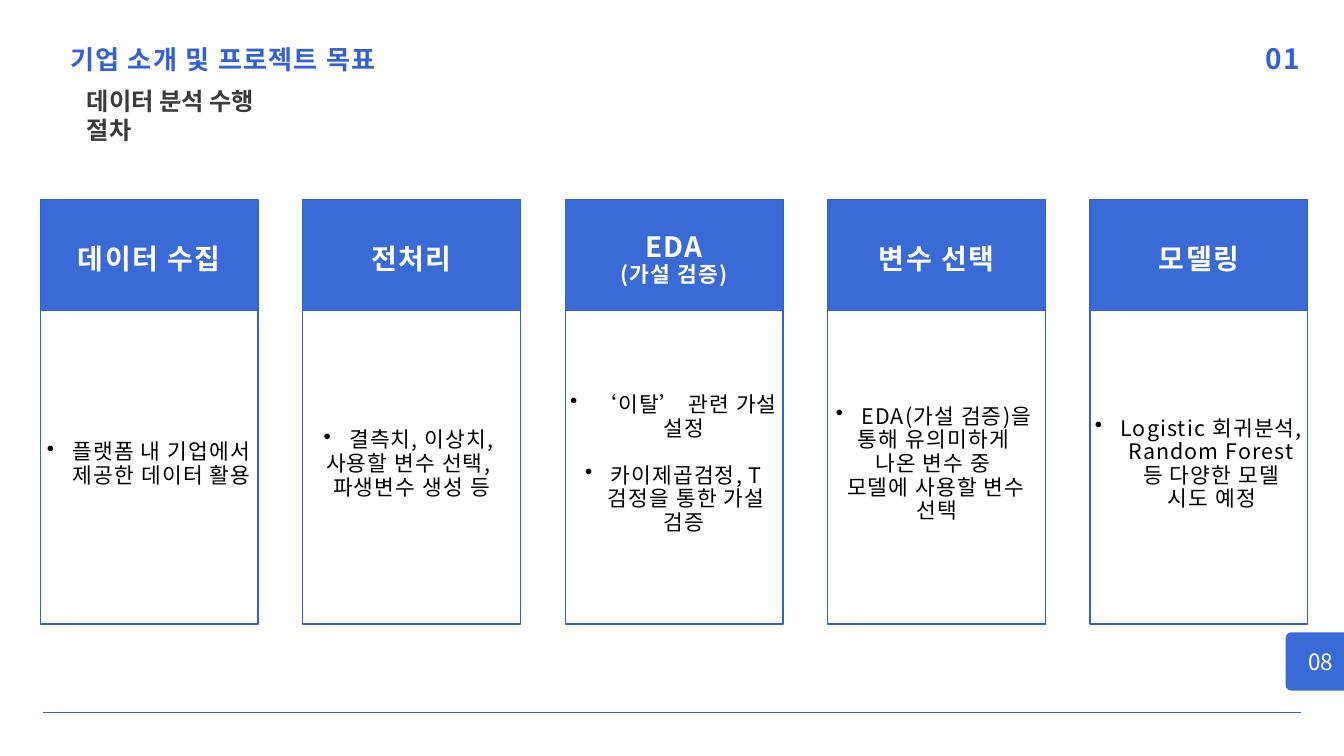
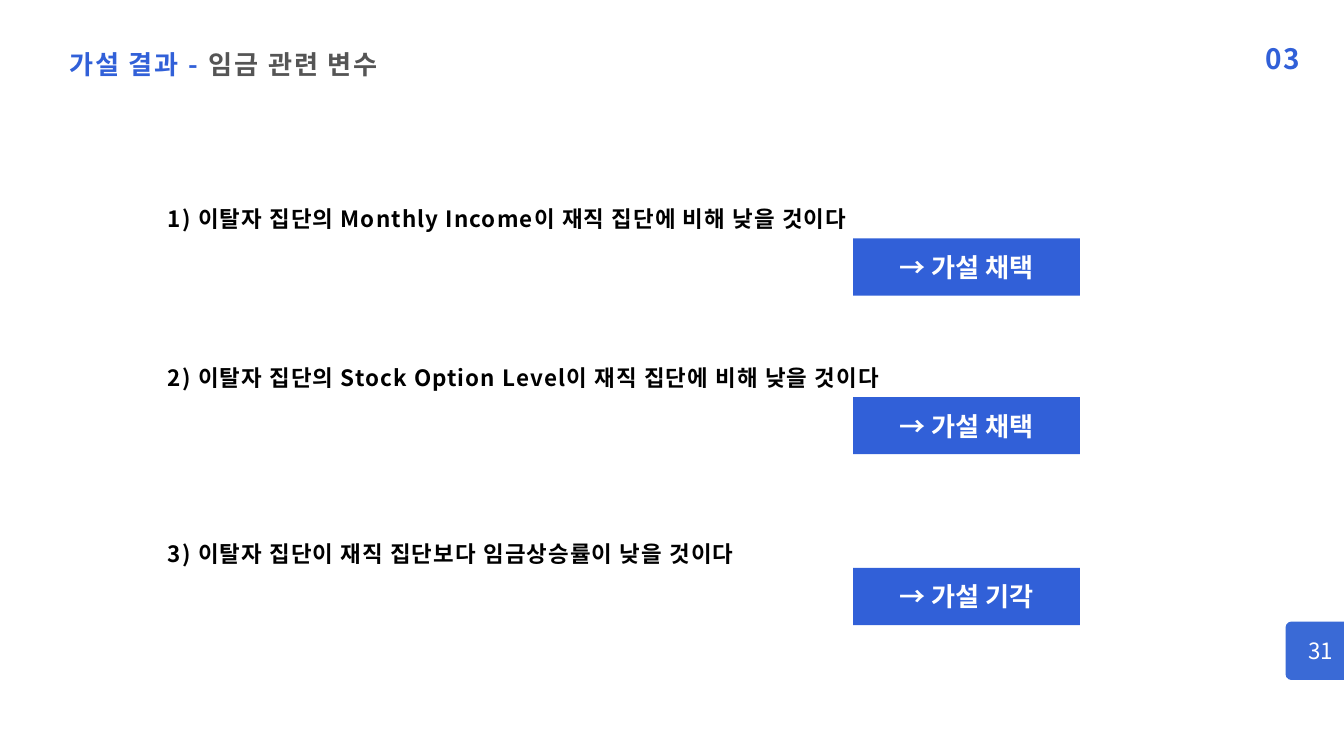
import pptx
import pptx.dml.color
import pptx.enum.shapes
import pptx.enum.text
import pptx.oxml
import pptx.oxml.ns
import pptx.util

Pt = pptx.util.Pt
ALIGN = pptx.enum.text.PP_ALIGN
ANCHOR = pptx.enum.text.MSO_ANCHOR
SHAPE = pptx.enum.shapes.MSO_SHAPE
qn = pptx.oxml.ns.qn

FONT = "Noto Sans CJK KR"
BLUE, FILL, WHITE, BLACK = "3160D8", "3A6AD6", "FFFFFF", "000000"
DARK, GREY = "3B3B3B", "555555"
CENTER = {"alignment": ALIGN.CENTER}

SECTION = {"size": 30, "bold": True, "color": BLUE, "spc": 160, "line": 33}
TITLE = {"size": 28, "bold": True, "color": BLUE, "spc": 140, "line": 30.8}
SUBTITLE = {"size": 26, "bold": True, "color": DARK, "line": 30.8}
STEP_HEAD = {**SECTION, "color": WHITE, **CENTER}
STEP_NOTE = {"size": 23, "spc": 120, "line": 25.3}
STEP_BODY = {"size": 23, "color": BLACK, "spc": 120, "line": 25.3, **CENTER}
CLAIM = {"size": 24, "bold": True, "color": BLACK, "spc": 120, "line": 26.4}
VERDICT = {"size": 28, "bold": True, "color": WHITE, **CENTER}
BADGE = {"size": 24, "color": WHITE, **CENTER}
BULLET = {"bullet": "•"}

STEPS = [
    ([("데이터 수집", {})],
     [("플랫폼 내 기업에서 제공한 데이터 활용", BULLET)]),
    ([("전처리", {})],
     [("결측치, 이상치, ", BULLET),
      ("사용할 변수 선택, \n파생변수 생성 등", {})]),
    ([("EDA", {}), ("(가설 검증)", STEP_NOTE)],
     [("‘이탈’ 관련 가설 설정 ", BULLET),
      ("카이제곱검정, T검정을 통한 가설 검증 ", {**BULLET, "before": 25.3})]),
    ([("변수 선택", {})],
     [("EDA(가설 검증)을 ", BULLET),
      ("통해 유의미하게 ", {}),
      ("나온 변수 중 \n모델에 사용할 변수 선택", {})]),
    ([("모델링", {})],
     [("Logistic 회귀분석, Random Forest 등 다양한 모델 시도 예정", BULLET)]),
]

CLAIMS = [
    ("1) 이탈자 집단의 Monthly Income이 재직 집단에 비해 낮을 것이다",
     "→ 가설 채택", 222.5, 33),
    ("2) 이탈자 집단의 Stock Option Level이 재직 집단에 비해 낮을 것이다",
     "→ 가설 채택", 392.5, 33),
    ("3) 이탈자 집단이 재직 집단보다 임금상승률이 낮을 것이다",
     "→ 가설 기각", 581, 27.5),
]


def rgb(value):
    """Turn a hex string into a colour."""
    return pptx.dml.color.RGBColor.from_string(value)


def add_run(p, text, fmt):
    """Add one formatted run to a paragraph."""
    r = p.add_run()
    r.text = text
    values = {"name": FONT, "size": Pt(fmt["size"]), "bold": fmt.get("bold", False)}
    for name, value in values.items():
        setattr(r.font, name, value)
    r.font.color.rgb = rgb(fmt["color"])
    rPr = r.font._element
    rPr.set("spc", str(fmt.get("spc", 0)))
    rPr.find(qn("a:latin")).addnext(rPr.makeelement(qn("a:ea"), {"typeface": FONT}))


def add_bullet(p, char, indent=27.4):
    """Give a paragraph a bullet with a hanging indent."""
    pPr = p._p.get_or_add_pPr()
    pPr.set("marL", str(Pt(indent)))
    pPr.set("indent", str(-Pt(indent)))
    pPr.append(pPr.makeelement(qn("a:buChar"), {"char": char}))


def write(tf, paras, base, anchor=ANCHOR.TOP, insets=(0, 0, 0, 0)):
    """Fill a text frame with (text, overrides) paragraphs."""
    frame = {"word_wrap": True, "auto_size": pptx.enum.text.MSO_AUTO_SIZE.NONE,
             "vertical_anchor": anchor}
    for side, inset in zip(("left", "top", "right", "bottom"), insets):
        frame[f"margin_{side}"] = Pt(inset)
    for name, value in frame.items():
        setattr(tf, name, value)
    for i, (text, extra) in enumerate(paras):
        fmt = {**base, **extra}
        p = tf.add_paragraph() if i else tf.paragraphs[0]
        p.alignment = fmt.get("alignment", ALIGN.LEFT)
        if "line" in fmt:
            p.line_spacing = Pt(fmt["line"])
        if "before" in fmt:
            p.space_before = Pt(fmt["before"])
        if "bullet" in fmt:
            add_bullet(p, fmt["bullet"])
        for j, part in enumerate(text.split("\n")):
            if j:
                p.add_line_break()
            add_run(p, part, fmt)


def add_text(s, box, text, fmt):
    """Add a one-paragraph text box."""
    sp = s.shapes.add_textbox(*map(Pt, box))
    write(sp.text_frame, [(text, {})], fmt)


def add_box(s, box, paras, fmt, fill=None, line=None,
            kind=SHAPE.RECTANGLE, insets=(7.2, 3.6, 7.2, 3.6)):
    """Add a preset shape with centred text."""
    sp = s.shapes.add_shape(kind, *map(Pt, box))
    sp.shadow.inherit = False
    if fill:
        sp.fill.solid()
        sp.fill.fore_color.rgb = rgb(fill)
    else:
        sp.fill.background()
    if line:
        sp.line.color.rgb = rgb(line)
        sp.line.width = Pt(1.5)
    else:
        sp.line.fill.background()
    write(sp.text_frame, paras, fmt, ANCHOR.MIDDLE, insets)
    return sp


def add_rule(s, left, right, y):
    """Draw the footer line."""
    cn = s.shapes.add_connector(pptx.enum.shapes.MSO_CONNECTOR.STRAIGHT,
                                Pt(left), Pt(y), Pt(right), Pt(y))
    cn.line.color.rgb = rgb(BLUE)
    cn.line.width = Pt(1.5)
    spPr = cn._element.spPr
    spPr.append(spPr.makeelement(qn("a:effectLst"), {}))


def add_page(prs, section, title, fmt, box, page, badge_top):
    """Add a slide with its title, section number and page badge."""
    s = prs.slides.add_slide(prs.slide_layouts[5])
    sp = s.shapes.title
    for name, value in zip(("left", "top", "width", "height"), box):
        setattr(sp, name, Pt(value))
    write(sp.text_frame, [(title, {})], fmt)
    add_text(s, (1170, 47.5, 223, 34.5), section, {**SECTION, "alignment": ALIGN.RIGHT})
    badge = add_box(s, (1377.4, badge_top, 74.9, 62.6), [(page, {})], BADGE, FILL,
                    kind=SHAPE.ROUNDED_RECTANGLE)
    badge.adjustments[0] = 0.1
    return s


def add_step(s, box, head, body, head_h=118.8, overlap=17.3):
    """Draw one step column: a body frame under a filled header."""
    left, top, width, height = box
    body_top = top + head_h - overlap
    insets = (4.3, 14.3, 4.3, 4.3)
    add_box(s, (left, body_top, width, top + height - body_top), body, STEP_BODY,
            line=BLUE, insets=insets)
    add_box(s, (left, top, width, head_h), head, STEP_HEAD, FILL, BLUE, insets=insets)


def add_steps(s, box, gap):
    """Spread the step columns evenly over a box."""
    left, top, width, height = box
    col_w = (width - gap * (len(STEPS) - 1)) / len(STEPS)
    for i, (head, body) in enumerate(STEPS):
        add_step(s, (left + i * (col_w + gap), top, col_w, height), head, body)


def add_claim(s, box, claim, verdict, gap):
    """Write a hypothesis with its verdict below at the right."""
    left, top, width, height = box
    add_text(s, box, claim, CLAIM)
    add_box(s, (left + 734, top + gap, 243, 61.2), [(verdict, {})], VERDICT, BLUE)


def build_process(prs):
    """Build the slide on the analysis steps."""
    s = add_page(prs, "01", "기업 소개 및 프로젝트 목표", TITLE,
                 (75, 49.7, 435, 31), "08", 677.5)
    add_text(s, (93, 93, 197, 31), "데이터 분석 수행 절차", SUBTITLE)
    add_steps(s, (43.2, 213.8, 1358, 455), 48)
    add_rule(s, 46, 1394, 763.2)


def build_results(prs):
    """Build the slide on the hypothesis results."""
    fmt = {**TITLE, "spc": 210, "line": 44}
    s = add_page(prs, "03", "가설 결과 - ", fmt, (74.2, 41, 567, 40), "31", 666)
    add_run(s.shapes.title.text_frame.paragraphs[0], "임금 관련 변수",
            {**fmt, "color": GREY})
    for claim, verdict, top, gap in CLAIMS:
        add_claim(s, (180, top, 1024, 27.4), claim, verdict, gap)


def main():
    """Build and save the presentation."""
    prs = pptx.Presentation()
    prs.slide_width, prs.slide_height = Pt(1440), Pt(810)
    build_process(prs)
    build_results(prs)
    prs.save("out.pptx")


if __name__ == "__main__":
    main()
